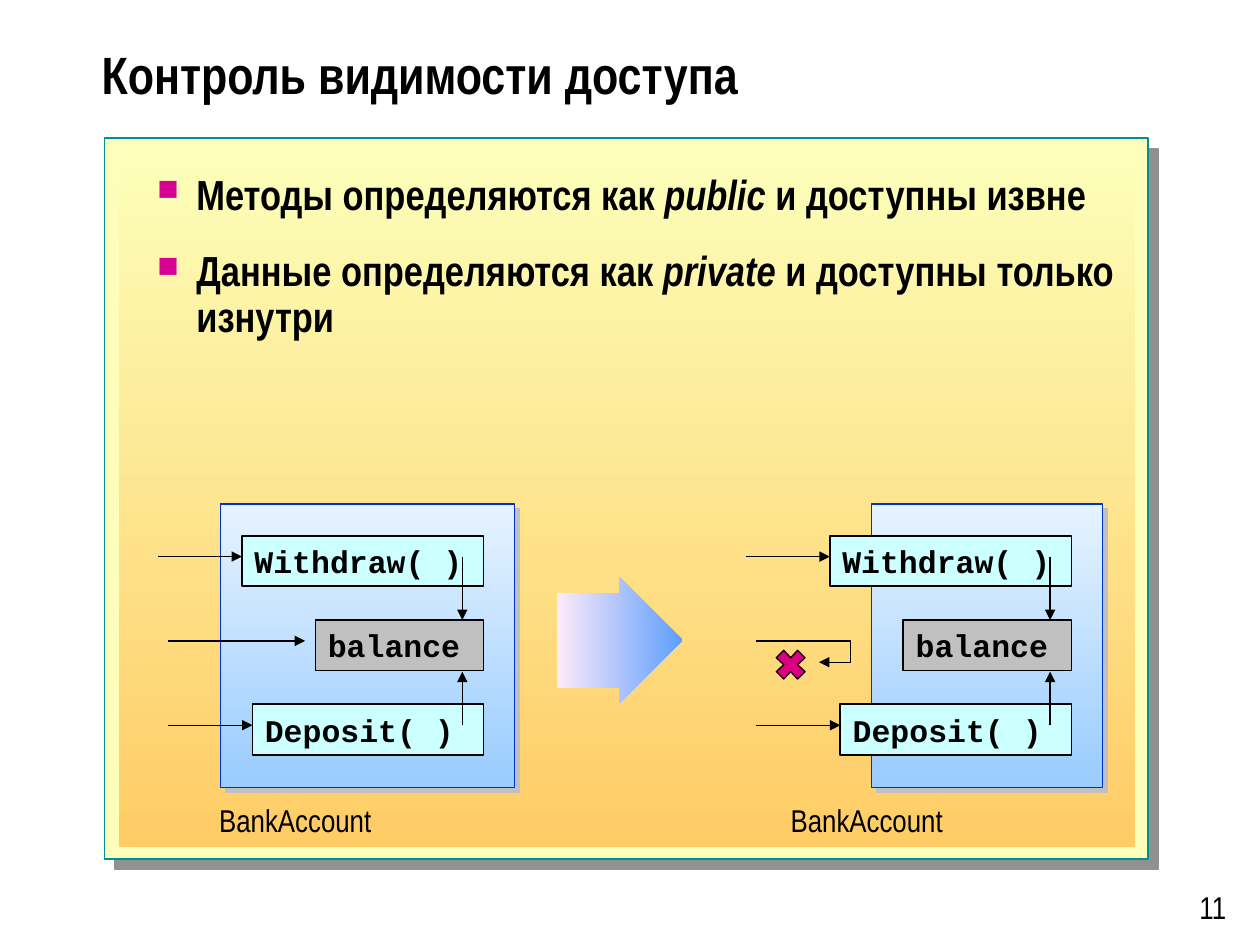
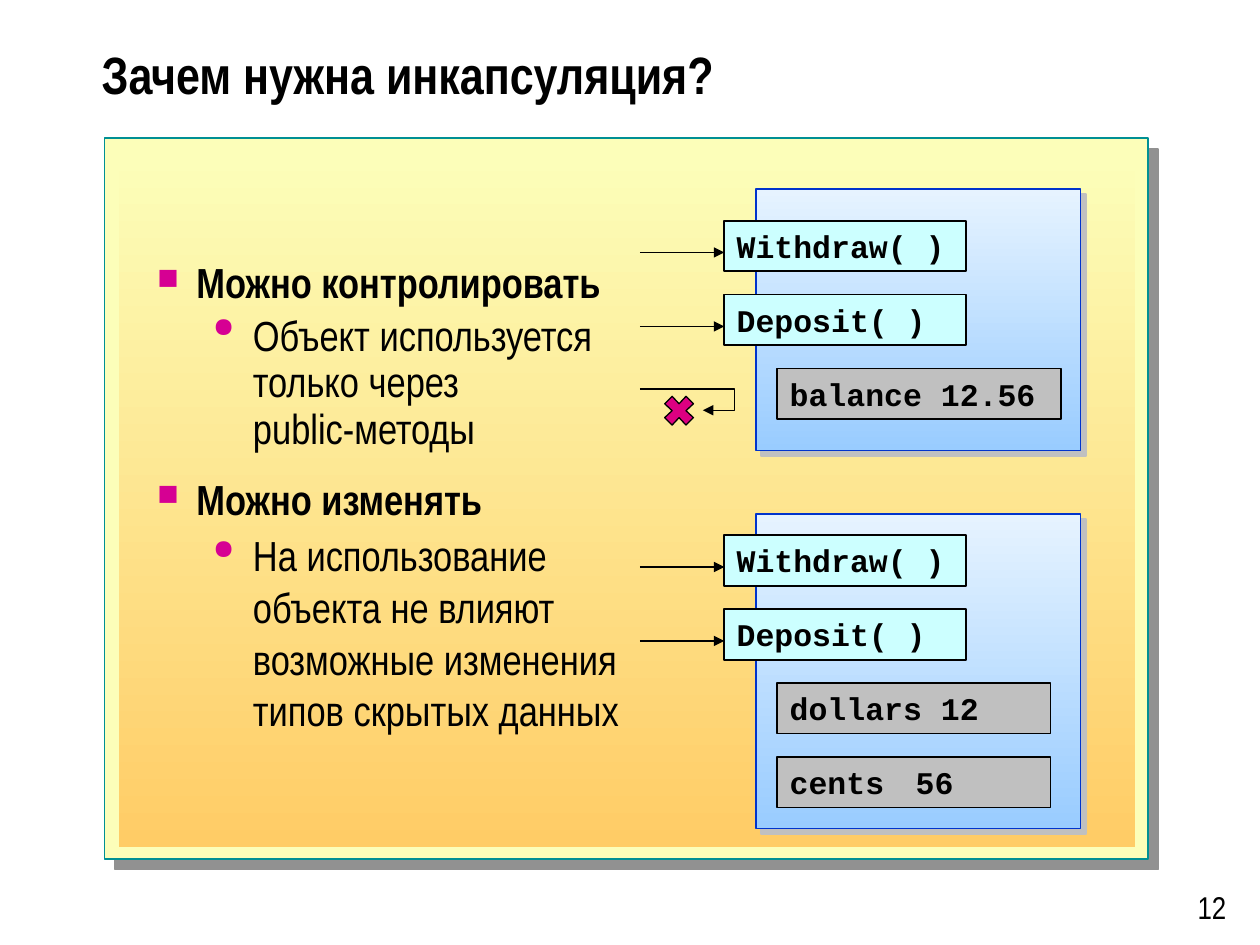
import dataclasses

import lxml.etree
import pptx
import pptx.dml.color
import pptx.enum.shapes
import pptx.enum.text
import pptx.oxml.ns
import pptx.util

Cm, Pt = pptx.util.Cm, pptx.util.Pt
SHAPE = pptx.enum.shapes.MSO_SHAPE
CONNECTOR = pptx.enum.shapes.MSO_CONNECTOR
ANCHOR = pptx.enum.text.MSO_ANCHOR
ALIGN = pptx.enum.text.PP_ALIGN


@dataclasses.dataclass(frozen=True)
class Theme:
    """Colours, fonts and type sizes of the deck."""
    ink: str = "000000"
    frame: str = "FCFEB9"
    frame_line: str = "009094"
    frame_shadow: str = "919191"
    frame_glow: tuple = ("FCFEB9", "FFCC66")
    panel: tuple = ("E6F3FF", "99CCFF")
    panel_line: str = "0033CC"
    panel_shadow: str = "C0C0C0"
    method: str = "CCFFFF"
    field: str = "C0C0C0"
    big_arrow: tuple = ("FFEBFA", "5E9EFF")
    bullet: str = "D60093"
    cross: str = "DC0081"
    sans: str = "Arial Narrow"
    mono: str = "Courier New"
    title_size: int = 30
    body_size: int = 24
    small_size: int = 18
    thin: float = 0.75
    cell_height: float = 1.02


T = Theme()


def rgb(value):
    """Turn a hex string into a colour."""
    return pptx.dml.color.RGBColor.from_string(value)


def add_xml(parent, tag, **attrs):
    """Append a DrawingML element and return it."""
    element = lxml.etree.SubElement(parent, pptx.oxml.ns.qn(tag))
    for name, value in attrs.items():
        element.set(name, str(value))
    return element


def write(tf, text, size=T.small_size, font=T.sans, bold=False, align=ALIGN.LEFT, spacing=None,
          before=0, margin=0, hang=0, bullet=None, bullet_size=70, level=0, tab=None):
    """Add a paragraph; parts between asterisks are italic."""
    first = not tf.paragraphs[0].runs
    p = tf.paragraphs[0] if first else tf.add_paragraph()
    p.alignment, p.level = align, level
    if spacing:
        p.line_spacing = spacing
    if before and not first:
        p.space_before = Pt(before)
    pPr = p._p.get_or_add_pPr()
    pPr.set("marL", str(Cm(margin)))
    pPr.set("indent", str(-Cm(hang)))
    if bullet:
        add_xml(add_xml(pPr, "a:buClr"), "a:srgbClr", val=T.bullet)
        add_xml(pPr, "a:buSzPct", val=bullet_size * 1000)
        add_xml(pPr, "a:buChar", char=bullet)
    if tab:
        add_xml(add_xml(pPr, "a:tabLst"), "a:tab", pos=Cm(tab), algn="l")
    for i, part in enumerate(text.split("*")):
        r = p.add_run()
        r.text = part
        r.font.size, r.font.name = Pt(size), font
        r.font.bold, r.font.italic = bold, i % 2 == 1
        r.font.color.rgb = rgb(T.ink)


def text_box(s, box, anchor=ANCHOR.TOP):
    """Add a wrapping text box and return its text frame."""
    tf = s.shapes.add_textbox(*map(Cm, box)).text_frame
    tf.word_wrap, tf.vertical_anchor = True, anchor
    return tf


def style(sp, fill, line=None, width=1, angle=270, shadow=None, distance=0):
    """Set fill (plain or a colour pair), outline and hard shadow."""
    if isinstance(fill, tuple):
        sp.fill.gradient()
        sp.fill.gradient_angle = angle
        for stop, colour in zip(sp.fill.gradient_stops, fill):
            stop.color.rgb = rgb(colour)
    else:
        sp.fill.solid()
        sp.fill.fore_color.rgb = rgb(fill)
    if line:
        sp.line.color.rgb = rgb(line)
        sp.line.width = Pt(width)
    else:
        sp.line.fill.background()
    sp.shadow.inherit = False
    if shadow:
        effects = sp._element.spPr.find(pptx.oxml.ns.qn("a:effectLst"))
        outer = add_xml(effects, "a:outerShdw", blurRad=0, dist=Pt(distance),
                        dir=45 * 60000, algn="ctr", rotWithShape=0)
        add_xml(outer, "a:srgbClr", val=shadow)


def add_box(s, box, fill, shape=SHAPE.RECTANGLE, **look):
    """Add a styled preset shape."""
    sp = s.shapes.add_shape(shape, *map(Cm, box))
    style(sp, fill, **look)
    return sp


def panel(s, box):
    """Draw the blue body of an object."""
    add_box(s, box, T.panel, line=T.panel_line, width=T.thin,
            shadow=T.panel_shadow, distance=4.2)


def cell(s, x, y, w, text, fill):
    """Draw one member of an object."""
    sp = add_box(s, (x, y, w, T.cell_height), fill, line=T.ink)
    tf = sp.text_frame
    tf.word_wrap, tf.vertical_anchor = True, ANCHOR.TOP
    write(tf, text, font=T.mono, bold=True, tab=3.05 if "\t" in text else None)


def arrow(s, x1, y1, x2, y2, kind=CONNECTOR.STRAIGHT):
    """Draw a thin connector with an arrowhead at its end."""
    c = s.shapes.add_connector(kind, *map(Cm, (x1, y1, x2, y2)))
    c.line.color.rgb = rgb(T.ink)
    c.line.width = Pt(T.thin)
    spPr = c._element.spPr
    add_xml(spPr.find(pptx.oxml.ns.qn("a:ln")), "a:tailEnd", type="triangle")
    add_xml(spPr, "a:effectLst")
    return c


def blocked_access(s, x, y, cross_dx, cross_dy):
    """Draw an access that turns back, with a cross below it."""
    c = arrow(s, x, y, x + 1.27, y + 0.43, CONNECTOR.ELBOW)
    geometry = c._element.spPr.find(pptx.oxml.ns.qn("a:prstGeom"))
    guides = geometry.find(pptx.oxml.ns.qn("a:avLst"))
    add_xml(guides, "a:gd", name="adj1", fmla="val 150000")
    reach, arm = 0.29, 0.14
    quarter, points = [(-reach, -arm), (-arm, -reach), (0, -arm)], []
    for _ in range(4):
        points += quarter
        quarter = [(-py, px) for px, py in quarter]
    points = [(Cm(x + cross_dx + px), Cm(y + cross_dy + py)) for px, py in points]
    builder = s.shapes.build_freeform(*points[0])
    builder.add_line_segments(points[1:], close=True)
    style(builder.convert_to_shape(), T.cross, line=T.ink, width=T.thin)


def access_diagram(s, box, inset, label_dx, blocked=False):
    """Draw the account with its callers; inset is the left edge of its body."""
    x, y, w, h = box
    right, step = x + 6.57, 1.7
    panel(s, (x + inset, y, w - inset, h))
    members = (("Withdraw( )", 4.87, T.method, 0),
               ("balance", 3.39, T.field, 0.21),
               ("Deposit( )", 4.66, T.method, 0.21))
    for i, (name, width, fill, start) in enumerate(members):
        top = y + 0.64 + step * i
        caller_y = top + 0.42
        cell(s, right - width, top, width, name, fill)
        if fill == T.method:
            arrow(s, x + start, caller_y, right - width, caller_y)
        elif blocked:
            blocked_access(s, x + start, caller_y, 0.7, 0.48)
        else:
            arrow(s, x + start, caller_y, right - width - 0.21, caller_y)
    arrow(s, x + 6.14, y + 1.06, x + 6.14, y + 2.34)
    arrow(s, x + 6.14, y + 4.46, x + 6.14, y + 3.38)
    write(text_box(s, (x + label_dx, y + h + 0.15, 4, 1.02)), "BankAccount")


def object_diagram(s, box, first, fields, field_width, blocked=False):
    """Draw an object with its methods sticking out and its fields inside."""
    x, y, w, h = box
    panel(s, (x + 2.34, y, w - 2.34, h))
    members = [(name, T.method) for name in ("Withdraw( )", "Deposit( )")]
    members += [(name, T.field) for name in fields]
    for i, (name, fill) in enumerate(members):
        top = y + first + 1.49 * i
        if fill == T.method:
            cell(s, x + 1.7, top, 4.87, name, fill)
            arrow(s, x, top + 0.64, x + 1.7, top + 0.64)
        else:
            cell(s, x + 2.77, top, field_width, name, fill)
            if blocked:
                blocked_access(s, x, top + 0.41, 0.79, 0.44)


def frame(prs, title, number):
    """Add a slide with its title, framed field and page number."""
    s = prs.slides.add_slide(prs.slide_layouts[6])
    add_box(s, (2.11, 2.79, 21.03, 14.53), T.frame, line=T.frame_line,
            shadow=T.frame_shadow, distance=8.5)
    add_box(s, (2.39, 3.1, 20.5, 13.97), T.frame_glow)
    write(text_box(s, (1.8, 0.43, 22.75, 2.34), ANCHOR.MIDDLE), title,
          size=T.title_size, bold=True, spacing=0.8)
    write(text_box(s, (22.86, 17.78, 2.11, 1.02)), str(number), align=ALIGN.RIGHT)
    return s


def point(tf, text):
    """Add a main bullet."""
    write(tf, text, size=T.body_size, bold=True, spacing=0.9, before=18,
          margin=0.79, hang=0.79, bullet="■")


def detail(tf, lines, spacing):
    """Add a sub-bullet set as separate lines."""
    for i, line in enumerate(lines):
        lead = {"hang": 0.81, "bullet": "●", "bullet_size": 65} if i == 0 else {}
        write(tf, line, size=T.body_size, spacing=spacing, before=18,
              margin=1.93, level=1, **lead)


def access_slide(prs):
    """Build the slide on access control."""
    s = frame(prs, "Контроль видимости доступа", 11)
    tf = text_box(s, (2.92, 3.38, 20, 5.08))
    point(tf, "Методы определяются как *public *и доступны извне")
    point(tf, "Данные определяются как *private* и доступны только изнутри")
    add_box(s, (11.22, 11.64, 2.54, 2.54), T.big_arrow, SHAPE.RIGHT_ARROW, angle=0).adjustments[0] = 0.75
    access_diagram(s, (3.18, 10.16, 7.19, 5.72), inset=1.27, label_dx=0.99)
    access_diagram(s, (15.03, 10.16, 7.19, 5.72), inset=2.54, label_dx=0.66, blocked=True)


def encapsulation_slide(prs):
    """Build the slide on the reasons for encapsulation."""
    s = frame(prs, "Зачем нужна инкапсуляция?", 12)
    tf = text_box(s, (2.92, 5.16, 20, 11.91))
    point(tf, "Можно контролировать")
    detail(tf, ("Объект используется", "только через", "public-методы"), 0.3)
    point(tf, "Можно изменять")
    detail(tf, ("На использование", "объекта не влияют",
                "возможные изменения", "типов скрытых данных"), 0.4)
    object_diagram(s, (12.9, 3.81, 8.89, 5.28), 0.64, ("balance 12.56",), 5.72, blocked=True)
    object_diagram(s, (12.9, 10.36, 8.89, 6.35), 0.43, ("dollars 12", "cents\t56"), 5.51)


def main():
    """Build and save the deck."""
    prs = pptx.Presentation()
    prs.slide_width, prs.slide_height = Cm(25.4), Cm(19.05)
    access_slide(prs)
    encapsulation_slide(prs)
    prs.save("out.pptx")


if __name__ == "__main__":
    main()
